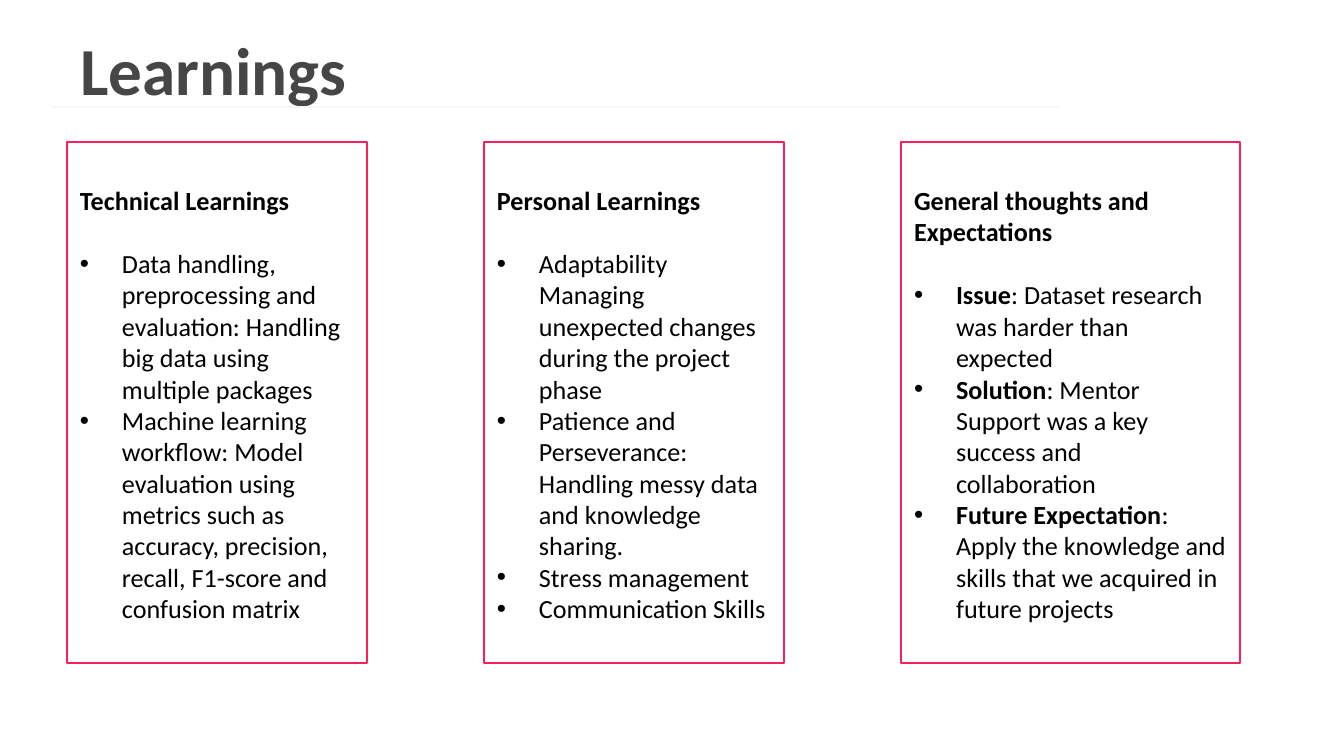
import pptx
import pptx.dml.color
import pptx.enum.shapes
import pptx.enum.text
import pptx.oxml
import pptx.oxml.ns
import pptx.util

EMU_PER_PX = 914400 / 134.4
FONT = "Calibri"
COLORS = {"title": "464646", "text": "000000", "border": "FA1E5A", "rule": "F7F7FB", "panel": "FFFFFF"}
PANEL_LEFT, PANEL_TOP, PANEL_PITCH, PANEL_HEIGHT = 67, 142, 417, 521
INSET, BOTTOM_INSET, INDENT = 13, 39, 42

LEARNINGS = [
    ("Technical Learnings", 300, [
        ("", "Data handling, preprocessing and evaluation: Handling big data using multiple packages"),
        ("", "Machine learning workflow: Model evaluation using metrics such as accuracy, precision, "
             "recall, F1-score and confusion matrix"),
    ]),
    ("Personal Learnings", 300, [
        ("", "Adaptability Managing unexpected changes during the project phase"),
        ("", "Patience and Perseverance: Handling messy data and knowledge sharing."),
        ("", "Stress management"),
        ("", "Communication Skills"),
    ]),
    ("General thoughts and Expectations", 339, [
        ("Issue", ": Dataset research was harder than expected"),
        ("Solution", ": Mentor Support was a key success and collaboration"),
        ("Future Expectation", ": Apply the knowledge and skills that we acquired in future projects"),
    ]),
]


def px(length):
    return pptx.util.Emu(round(length * EMU_PER_PX))


def rgb(name):
    return pptx.dml.color.RGBColor.from_string(COLORS[name])


def apply(target, formats):
    for attribute, value in formats.items():
        setattr(target, attribute, value)


def set_frame(frame, anchor, bottom):
    apply(frame, {
        "word_wrap": True, "vertical_anchor": anchor,
        "margin_left": px(INSET), "margin_right": px(INSET),
        "margin_top": px(INSET), "margin_bottom": px(bottom),
    })


def add_run(paragraph, text, size, color, bold):
    run = paragraph.add_run()
    run.text = text
    apply(run.font, {"name": FONT, "size": pptx.util.Pt(size), "bold": bold})
    run.font.color.rgb = rgb(color)


def set_line(line):
    line.width = pptx.util.Pt(0.75)


def add_rule(slide):
    rule = slide.shapes.add_connector(
        pptx.enum.shapes.MSO_CONNECTOR.STRAIGHT, px(51), px(107), px(1059), px(107))
    rule.line.color.rgb = rgb("rule")
    set_line(rule.line)
    rule._element.spPr.append(pptx.oxml.parse_xml(
        f"<a:effectLst {pptx.oxml.ns.nsdecls('a')}/>"))


def set_title(slide, text):
    title = slide.shapes.title
    apply(title, {"left": px(67), "top": px(15), "width": px(1253), "height": px(105)})
    set_frame(title.text_frame, pptx.enum.text.MSO_ANCHOR.TOP, INSET)
    heading = title.text_frame.paragraphs[0]
    heading.alignment = pptx.enum.text.PP_ALIGN.LEFT
    add_run(heading, text, 36, "title", True)


def add_bullet(frame, label, text):
    paragraph = frame.add_paragraph()
    paragraph.alignment = pptx.enum.text.PP_ALIGN.LEFT
    properties = paragraph._p.get_or_add_pPr()
    properties.set("marL", str(px(INDENT)))
    properties.set("indent", str(-px(INDENT)))
    namespace = pptx.oxml.ns.nsdecls("a")
    properties.append(pptx.oxml.parse_xml(
        f'<a:buClr {namespace}><a:srgbClr val="{COLORS["text"]}"/></a:buClr>'))
    properties.append(pptx.oxml.parse_xml(f'<a:buFont {namespace} typeface="Arial"/>'))
    properties.append(pptx.oxml.parse_xml(f'<a:buChar {namespace} char="•"/>'))
    if label:
        add_run(paragraph, label, 14, "text", True)
    add_run(paragraph, text, 14, "text", False)


def add_panel(slide, left, width, heading, bullets):
    panel = slide.shapes.add_shape(
        pptx.enum.shapes.MSO_SHAPE.RECTANGLE, px(left), px(PANEL_TOP), px(width), px(PANEL_HEIGHT))
    panel.shadow.inherit = False
    panel.fill.solid()
    panel.fill.fore_color.rgb = rgb("panel")
    panel.line.color.rgb = rgb("border")
    set_line(panel.line)
    frame = panel.text_frame
    set_frame(frame, pptx.enum.text.MSO_ANCHOR.BOTTOM, BOTTOM_INSET)
    paragraph = frame.paragraphs[0]
    apply(paragraph, {"alignment": pptx.enum.text.PP_ALIGN.LEFT, "space_after": pptx.util.Pt(17)})
    add_run(paragraph, heading, 14, "text", True)
    for label, text in bullets:
        add_bullet(frame, label, text)


def main():
    deck = pptx.Presentation()
    apply(deck, {"slide_width": px(1344), "slide_height": px(756)})
    slide = deck.slides.add_slide(deck.slide_layouts[5])
    add_rule(slide)
    set_title(slide, "Learnings")
    for column, (heading, width, bullets) in enumerate(LEARNINGS):
        add_panel(slide, PANEL_LEFT + column * PANEL_PITCH, width, heading, bullets)
    deck.save("out.pptx")


if __name__ == "__main__":
    main()
